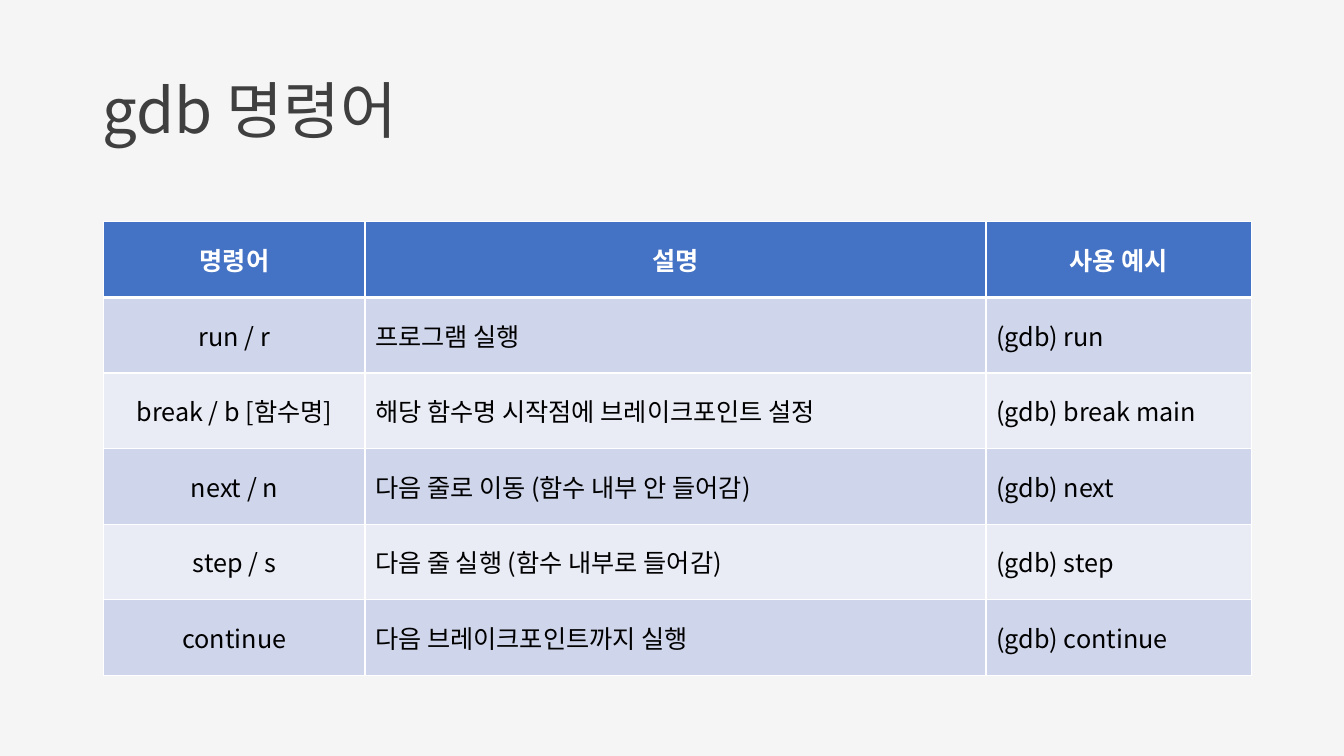
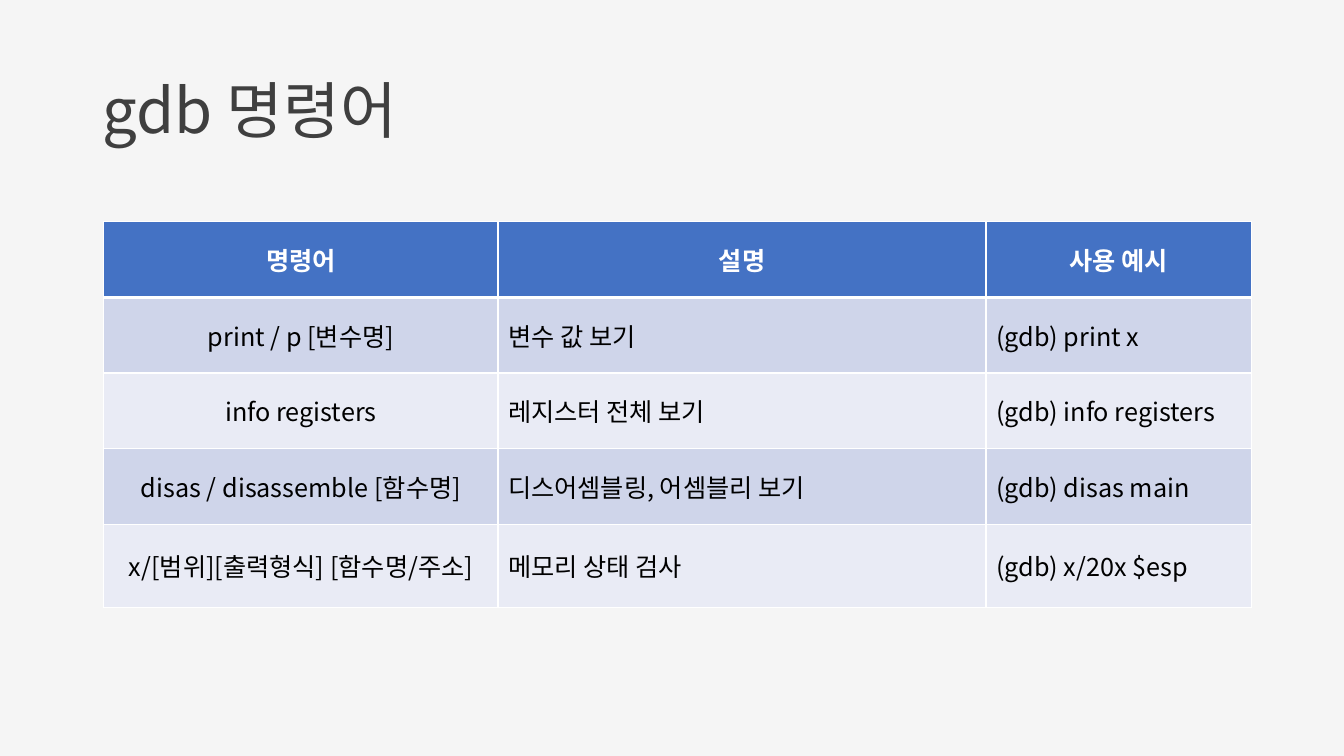
from dataclasses import dataclass
from typing import Any

import pptx
import pptx.dml.color
import pptx.enum.text
import pptx.oxml.ns
import pptx.presentation
import pptx.slide
import pptx.table
import pptx.text.text
import pptx.util
from lxml import etree

RGBColor = pptx.dml.color.RGBColor
PP_ALIGN = pptx.enum.text.PP_ALIGN
MIDDLE = pptx.enum.text.MSO_ANCHOR.MIDDLE
qn = pptx.oxml.ns.qn

PX = 9144  # EMU, 100 px to the inch
SLIDE_SIZE = (1333, 750)
TITLE_BOX = (92, 40, 1150, 145)
TABLE_LEFT, TABLE_TOP, ROW_HEIGHT = 103, 220, 75

BACKGROUND = RGBColor(0xF5, 0xF5, 0xF5)
TITLE_GREY = RGBColor(0x3F, 0x3F, 0x3F)
BLACK = RGBColor(0x00, 0x00, 0x00)
WHITE = RGBColor(0xFF, 0xFF, 0xFF)
HEADER_BLUE = RGBColor(0x44, 0x72, 0xC4)
BANDS = (RGBColor(0xCF, 0xD5, 0xEA), RGBColor(0xE9, 0xEB, 0xF5))

FONT = "Noto Sans CJK KR"
TITLE_FONT = {"name": FONT, "size": pptx.util.Pt(44), "bold": False}
HEADER_FONT = {"name": FONT, "size": pptx.util.Pt(18), "bold": True}
BODY_FONT = {**HEADER_FONT, "bold": False}
THIN, THICK = pptx.util.Pt(1), pptx.util.Pt(3)

TITLE = "gdb 명령어"
HEADER = ("명령어", "설명", "사용 예시")


@dataclass(frozen=True)
class Command:
    syntax: str
    meaning: str
    example: str


@dataclass(frozen=True)
class CommandSlide:
    column_widths: tuple[int, int, int]
    commands: tuple[Command, ...]


SLIDES = (
    CommandSlide((259, 616, 263), (
        Command("run / r", "프로그램 실행", "(gdb) run"),
        Command("break / b [함수명]", "해당 함수명 시작점에 브레이크포인트 설정", "(gdb) break main"),
        Command("next / n", "다음 줄로 이동 (함수 내부 안 들어감)", "(gdb) next"),
        Command("step / s", "다음 줄 실행 (함수 내부로 들어감)", "(gdb) step"),
        Command("continue", "다음 브레이크포인트까지 실행", "(gdb) continue"),
    )),
    CommandSlide((391, 484, 263), (
        Command("print / p [변수명]", "변수 값 보기", "(gdb) print x"),
        Command("info registers", "레지스터 전체 보기", "(gdb) info registers"),
        Command("disas / disassemble [함수명]", "디스어셈블링, 어셈블리 보기", "(gdb) disas main"),
        Command("x/[범위][출력형식] [함수명/주소]", "메모리 상태 검사", "(gdb) x/20x $esp"),
    )),
)


def px(length: int) -> pptx.util.Emu:
    return pptx.util.Emu(length * PX)


def write(tf: pptx.text.text.TextFrame, text: str, font: dict[str, Any],
          color: RGBColor, align: PP_ALIGN) -> None:
    """Fill the first paragraph with one run, in one font for Latin and Korean."""
    p = tf.paragraphs[0]
    p.alignment = align
    r = p.add_run()
    r.text = text
    for name, value in font.items():
        setattr(r.font, name, value)
    r.font.color.rgb = color
    etree.SubElement(r.font._element, qn("a:ea"), typeface=font["name"])


def set_borders(cell: pptx.table._Cell, top: int, bottom: int) -> None:
    tc_pr = cell._tc.get_or_add_tcPr()
    widths = {"a:lnL": THIN, "a:lnR": THIN, "a:lnT": top, "a:lnB": bottom}
    for tag, width in widths.items():
        line = etree.SubElement(tc_pr, qn(tag), w=str(int(width)))
        fill = etree.SubElement(line, qn("a:solidFill"))
        etree.SubElement(fill, qn("a:srgbClr"), val=str(WHITE))


def add_title(s: pptx.slide.Slide) -> None:
    title = s.shapes.title
    title.left, title.top, title.width, title.height = map(px, TITLE_BOX)
    tf = title.text_frame
    tf.vertical_anchor = MIDDLE
    tf.paragraphs[0].line_spacing = 0.9
    write(tf, TITLE, TITLE_FONT, TITLE_GREY, PP_ALIGN.LEFT)


def add_command_table(s: pptx.slide.Slide, content: CommandSlide) -> None:
    rows = [HEADER] + [(c.syntax, c.meaning, c.example) for c in content.commands]
    table = s.shapes.add_table(
        len(rows), len(HEADER), px(TABLE_LEFT), px(TABLE_TOP),
        px(sum(content.column_widths)), px(ROW_HEIGHT * len(rows))).table
    table.horz_banding = False
    for column, width in zip(table.columns, content.column_widths):
        column.width = px(width)
    for i, texts in enumerate(rows):
        is_header = i == 0
        for j, text in enumerate(texts):
            cell = table.cell(i, j)
            cell.vertical_anchor = MIDDLE
            set_borders(cell, THICK if i == 1 else THIN, THICK if is_header else THIN)
            cell.fill.solid()
            cell.fill.fore_color.rgb = HEADER_BLUE if is_header else BANDS[(i - 1) % 2]
            write(cell.text_frame, text,
                  HEADER_FONT if is_header else BODY_FONT,
                  WHITE if is_header else BLACK,
                  PP_ALIGN.CENTER if is_header or j == 0 else PP_ALIGN.LEFT)


def add_command_slide(prs: pptx.presentation.Presentation, content: CommandSlide) -> None:
    s = prs.slides.add_slide(prs.slide_layouts.get_by_name("Title Only"))
    add_title(s)
    add_command_table(s, content)


def main() -> None:
    prs = pptx.Presentation()
    prs.slide_width, prs.slide_height = map(px, SLIDE_SIZE)
    background = prs.slide_master.background.fill
    background.solid()
    background.fore_color.rgb = BACKGROUND
    for content in SLIDES:
        add_command_slide(prs, content)
    prs.save("out.pptx")


if __name__ == "__main__":
    main()
